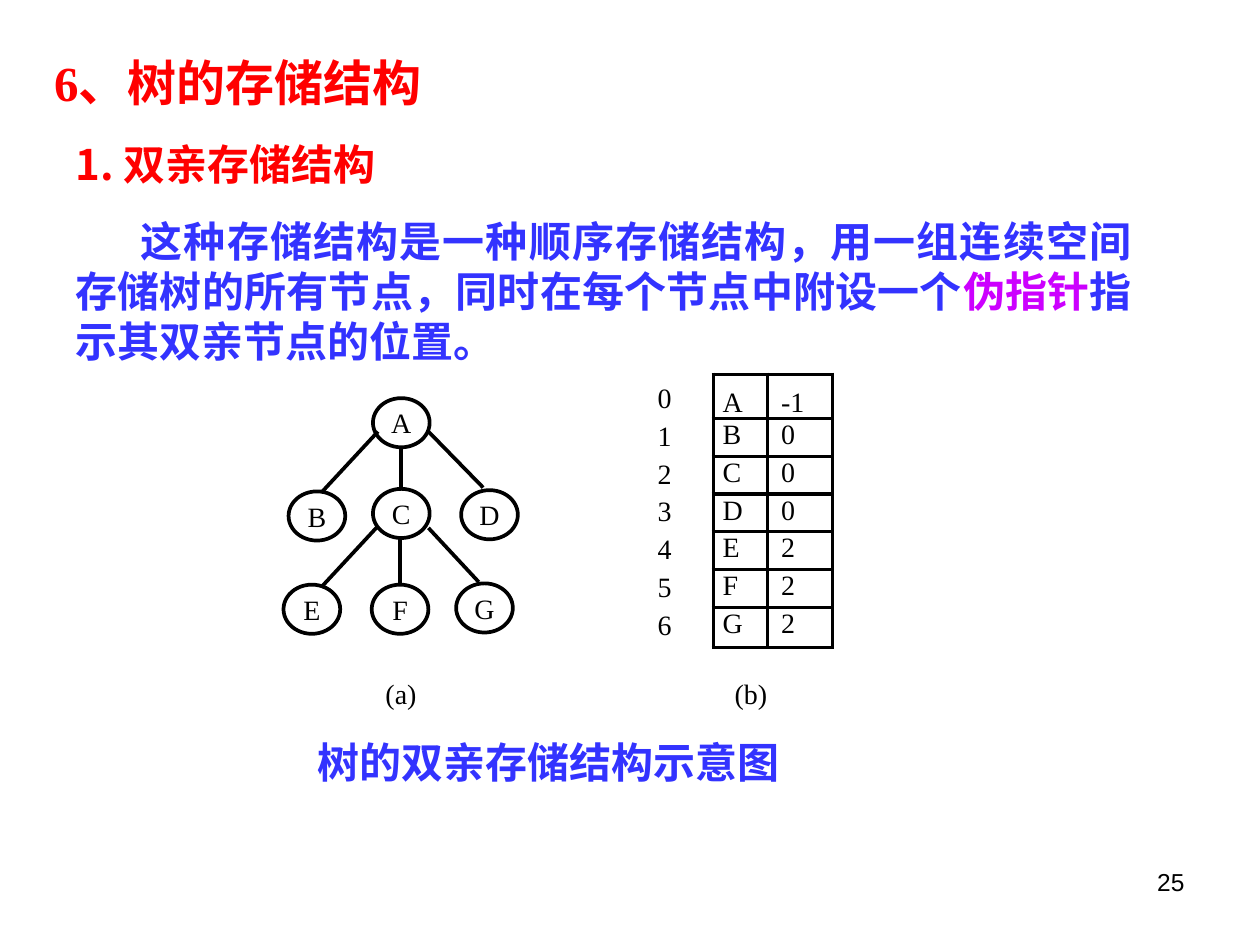
from dataclasses import dataclass
from typing import Optional

from lxml import etree
from pptx import Presentation
from pptx.dml.color import RGBColor
from pptx.enum.shapes import MSO_CONNECTOR, MSO_SHAPE
from pptx.enum.text import MSO_ANCHOR, MSO_AUTO_SIZE, PP_ALIGN
from pptx.oxml.ns import qn
from pptx.util import Inches, Pt

LEFT, MID, RIGHT, JUST = PP_ALIGN.LEFT, PP_ALIGN.CENTER, PP_ALIGN.RIGHT, PP_ALIGN.JUSTIFY
TOP, CENTER, BASE = MSO_ANCHOR.TOP, MSO_ANCHOR.MIDDLE, MSO_ANCHOR.BOTTOM
OVAL, LINE, FIXED = MSO_SHAPE.OVAL, MSO_CONNECTOR.STRAIGHT, MSO_AUTO_SIZE.NONE
INK = {"red": "FF0000", "blue": "3333FF", "pink": "CC00FF", "black": "000000", "white": "FFFFFF"}
SERIF, HAN, SANS = "Times New Roman", "Noto Sans CJK SC", "Arial"
STROKE = Pt(2.13)
PAD = (1, 0.5, 1, 0.5)

# The page is a grid of 100 columns by 75 rows
deck = Presentation()
deck.slide_width, deck.slide_height = Inches(10), Inches(7.5)
UNIT = deck.slide_width // 100
slide = deck.slides.add_slide(deck.slide_layouts[5])


@dataclass
class Node:
    name: str
    col: float
    row: float


@dataclass
class Edge:
    start: tuple[float, float]
    end: tuple[float, float]
    child: Optional[str] = None


NODES = [
    Node("A", 29.6, 31.6), Node("B", 22.9, 39), Node("C", 29.6, 38.8), Node("D", 36.6, 38.9),
    Node("E", 22.5, 46.4), Node("F", 29.5, 46.4), Node("G", 36.2, 46.3),
]
EDGES = [
    Edge((30, 34.25), (25.5, 39.1)), Edge((31.85, 35.5), (31.85, 38.8), "C"),
    Edge((34, 34.25), (38.35, 38.7)), Edge((30, 41.75), (25.5, 46.6)),
    Edge((31.75, 42.7), (31.75, 46.4), "F"), Edge((34, 41.9), (38, 46.2)),
]
PARENTS = ["-1", "0", "0", "0", "2", "2", "2"]


def grid(*cells: float) -> list[int]:
    return [round(cell * UNIT) for cell in cells]


def color(key: str) -> RGBColor:
    return RGBColor.from_string(INK[key])


def write(para, text: str, *, size: float = 16, font: str = SERIF, ink: str = "black",
          bold: bool = False, align=LEFT, pitch: Optional[float] = None,
          before: float = 0, indent: float = 0) -> None:
    para.alignment, para.space_before = align, Pt(before)
    if pitch:
        para.line_spacing = Pt(pitch)
    if indent:
        para._p.get_or_add_pPr().set("indent", str(grid(indent)[0]))
    run = para.add_run()
    run.text = text
    face = run.font
    face.size, face.bold, face.name = Pt(size), bold, font
    face.color.rgb = color(ink)
    etree.SubElement(run._r.get_or_add_rPr(), qn("a:ea")).set("typeface", HAN)


def setup(frame, pad: tuple = (0, 0, 0, 0), anchor=TOP, wrap: bool = True):
    frame.margin_left, frame.margin_top, frame.margin_right, frame.margin_bottom = grid(*pad)
    frame.auto_size, frame.word_wrap, frame.vertical_anchor = FIXED, wrap, anchor
    return frame.paragraphs[0]


def box(col: float, row: float, wide: float, high: float, **kind):
    shape = slide.shapes.add_textbox(*grid(col, row, wide, high))
    return setup(shape.text_frame, **kind)


def draw_node(node: Node):
    oval = slide.shapes.add_shape(OVAL, *grid(node.col, node.row, 4.5, 3.9))
    oval.shadow.inherit = False
    oval.fill.background()
    oval.line.color.rgb, oval.line.width = color("black"), STROKE
    write(setup(oval.text_frame, anchor=CENTER, wrap=False), node.name, align=MID)
    return oval


def draw_edge(edge: Edge, ovals: dict) -> None:
    line = slide.shapes.add_connector(LINE, *grid(*edge.start, *edge.end))
    line.line.color.rgb, line.line.width = color("black"), STROKE
    etree.SubElement(line._element.spPr, qn("a:effectLst"))
    if edge.child:
        line.end_connect(ovals[edge.child], 0)


def fill_cell(cell, text: str, pad: float, anchor) -> None:
    props = cell._tc.get_or_add_tcPr()
    for side in ("lnL", "lnR", "lnT", "lnB"):
        edge = etree.SubElement(props, qn(f"a:{side}"), w=str(STROKE))
        fill = etree.SubElement(edge, qn("a:solidFill"))
        etree.SubElement(fill, qn("a:srgbClr"), val=INK["black"])
    cell.fill.solid()
    cell.fill.fore_color.rgb = color("white")
    cell.margin_left, cell.margin_top, cell.margin_right, cell.margin_bottom = grid(pad, 0.1, 0, 0)
    cell.vertical_anchor = anchor
    write(cell.text_frame.paragraphs[0], text)


# Title
title = slide.shapes.title
title.left, title.top, title.width, title.height = grid(3.3, 3.3, 47.5, 5.7)
write(setup(title.text_frame, PAD), "6、树的存储结构", size=28, ink="red", bold=True, pitch=36)

# Heading and explanation
HEAVY = dict(size=24, font=HAN, bold=True, pitch=28.8)
head = box(5, 10.5, 85.8, 19.1, pad=PAD)
write(head, "1. 双亲存储结构", ink="red", align=JUST, **HEAVY)
body = slide.shapes[-1].text_frame.add_paragraph()
for part, ink in [
    ("这种存储结构是一种顺序存储结构，用一组连续空间存储树的所有节点，同时在每个节点中附设一个", "blue"),
    ("伪指针", "pink"),
    ("指示其双亲节点的位置。", "blue"),
]:
    write(body, part, ink=ink, align=JUST, before=15, indent=5.2, **HEAVY)

# Tree
ovals = {node.name: draw_node(node) for node in NODES}
for edge in EDGES:
    draw_edge(edge, ovals)

# Parent array with its row numbers
frame = slide.shapes.add_table(len(NODES), 2, *grid(56.6, 29.7, 9.5, 21.7))
table = frame.table
table.first_row = table.horz_banding = False
for column, wide in zip(table.columns, grid(4.3, 5.2)):
    column.width = wide
for i, (node, parent) in enumerate(zip(NODES, PARENTS)):
    table.rows[i].height = grid({0: 3.5, 6: 3.2}.get(i, 3))[0]
    anchor = TOP if i else BASE
    fill_cell(table.cell(i, 0), node.name, 0.75, anchor)
    fill_cell(table.cell(i, 1), parent, 1.1, anchor)
    write(box(52.2, 30.2 + 3 * i, 1.2, 2.7, wrap=False), str(i))

# Captions
for col, mark in [(30.6, "(a)"), (58.3, "(b)")]:
    write(box(col, 53.7, 2.6, 2.7, wrap=False), mark)
write(box(24.2, 58, 46.7, 5, pad=PAD), "树的双亲存储结构示意图", ink="blue", **HEAVY)

# Page number
write(box(71.7, 68.3, 23.3, 5.2, pad=PAD), "25", size=14, font=SANS, align=RIGHT)

deck.save("out.pptx")
